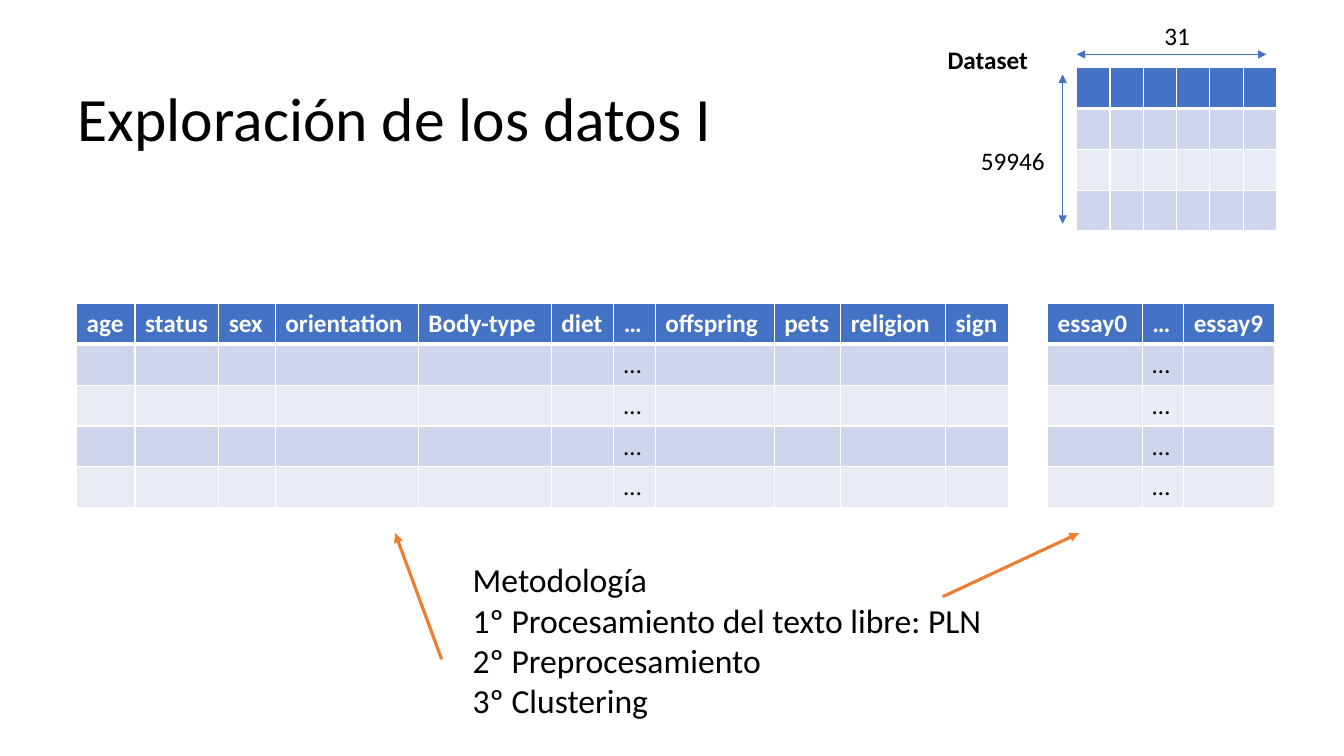
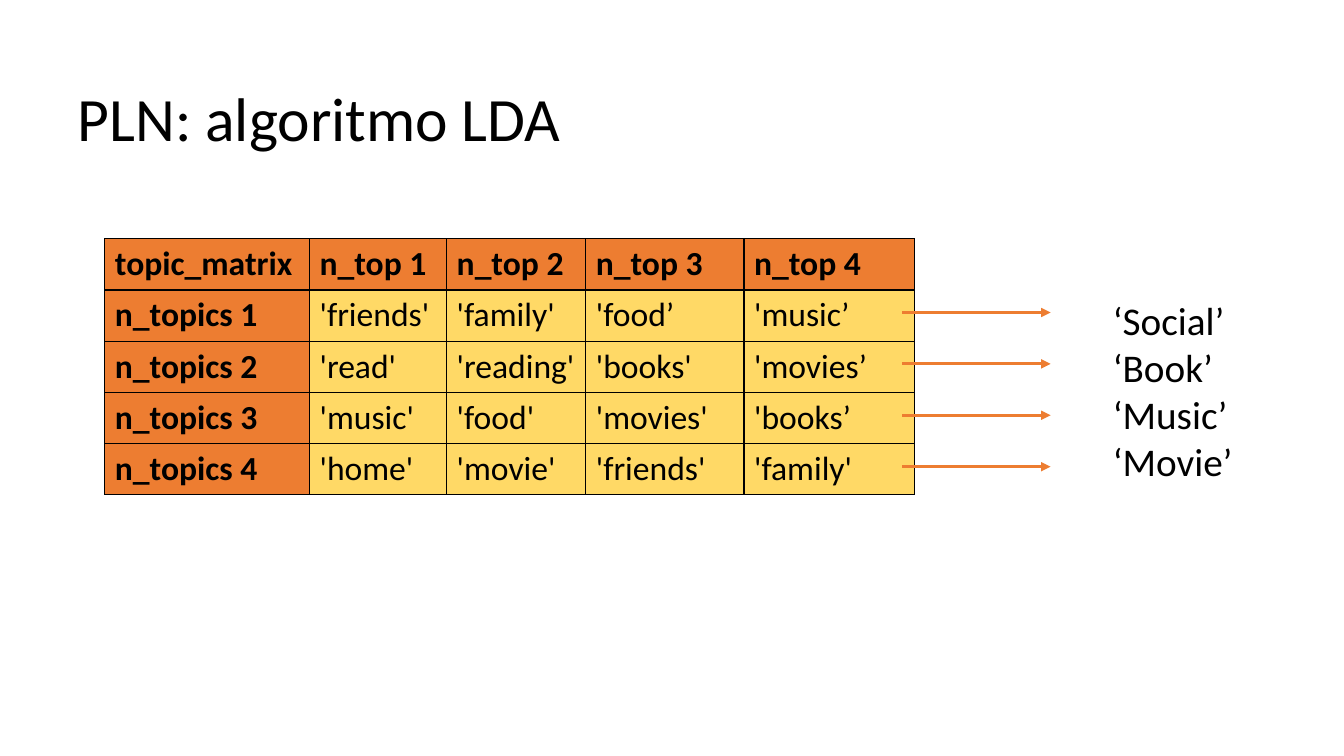
from lxml.etree import SubElement
from pptx import Presentation
from pptx.dml.color import RGBColor
from pptx.enum.shapes import MSO_CONNECTOR
from pptx.enum.text import MSO_ANCHOR, PP_ALIGN
from pptx.oxml.ns import qn
from pptx.util import Inches, Pt

BLACK = RGBColor(0x00, 0x00, 0x00)
WHITE = RGBColor(0xFF, 0xFF, 0xFF)
BLUE = RGBColor(0x44, 0x72, 0xC4)
BAND_DARK = RGBColor(0xCF, 0xD5, 0xEA)
BAND_LIGHT = RGBColor(0xE9, 0xEB, 0xF5)
ORANGE = RGBColor(0xED, 0x7D, 0x31)
YELLOW = RGBColor(0xFF, 0xD9, 0x66)
FONT = "Calibri"

BLUE_STYLE = dict(head=BLUE, head_text=WHITE, bands=(BAND_DARK, BAND_LIGHT),
                  border=WHITE, rule=3, size=18, row=0.405, side=False)
TOPIC_STYLE = dict(head=ORANGE, head_text=BLACK, bands=(YELLOW,),
                   border=BLACK, rule=2, size=24, row=0.5, side=True)


def with_dots(header, count):
    return [header] + [[t if t == "…" else "" for t in header]] * count


PROFILE = ["age", "status", "sex", "orientation", "Body-type", "diet", "…",
           "offspring", "pets", "religion", "sign"]
PROFILE_COLS = [0.58, 0.83, 0.56, 1.42, 1.32, 0.62, 0.41, 1.18, 0.66, 1.04, 0.63]
ESSAYS = ["essay0", "…", "essay9"]
DATASET = [[""] * 6] * 4

EXPLORATION_TABLES = [
    ((0.76, 3.01), PROFILE_COLS, with_dots(PROFILE, 4)),
    ((10.39, 3.01), [0.94, 0.41, 0.9], with_dots(ESSAYS, 4)),
    ((10.68, 0.67), [0.33] * 6, DATASET),
]
METHOD = ["Metodología", "1º Procesamiento del texto libre: PLN",
          "2º Preprocesamiento", "3º Clustering"]
LABELS = [
    ((9.63, 1.39, 1.03, 0.4), "59946", False),
    ((11.45, 0.15, 0.46, 0.4), "31", False),
    ((9.3, 0.39, 1.04, 0.42), "Dataset", True),
]
POINTERS = [((9.35, 5.92), (10.7, 5.29)), ((4.38, 6.54), (3.92, 5.29))]
DIMENSIONS = [((10.54, 0.74), (10.54, 2.22)), ((10.68, 0.54), (12.56, 0.54))]

TOPICS = [
    ["topic_matrix", "n_top 1", "n_top 2", "n_top 3", "n_top 4"],
    ["n_topics 1", "'friends'", "'family'", "'food’", "'music’"],
    ["n_topics 2", "'read'", "'reading'", "'books'", "'movies’"],
    ["n_topics 3", "'music'", "'food'", "'movies'", "'books’"],
    ["n_topics 4", "'home'", "'movie'", "'friends'", "'family'"],
]
TOPIC_COLS = [2.03, 1.36, 1.38, 1.57, 1.69]
TOPIC_NAMES = ["‘Social’", "‘Book’", "‘Music’", "‘Movie’"]


def write(tf, lines, size, color=BLACK, bold=False):
    for i, line in enumerate(lines):
        p = tf.paragraphs[0] if i == 0 else tf.add_paragraph()
        r = p.add_run()
        r.text = line
        for name, value in dict(name=FONT, size=Pt(size), bold=bold).items():
            setattr(r.font, name, value)
        r.font.color.rgb = color


def add_titled_slide(prs, title):
    s = prs.slides.add_slide(prs.slide_layouts[5])
    sp = s.shapes.title
    sp.left, sp.top, sp.width, sp.height = map(Inches, (0.67, 0.48, 11.5, 1.45))
    tf = sp.text_frame
    tf.vertical_anchor = MSO_ANCHOR.MIDDLE
    write(tf, [title], 44)
    p = tf.paragraphs[0]
    p.alignment, p.line_spacing = PP_ALIGN.LEFT, 0.9
    return s


def add_text(s, box, lines, size, bold=False, wrap=True):
    tf = s.shapes.add_textbox(*map(Inches, box)).text_frame
    tf.word_wrap = wrap
    write(tf, lines, size, bold=bold)


def add_arrow(s, start, end, color, width, ends=("tailEnd",)):
    points = map(Inches, start + end)
    c = s.shapes.add_connector(MSO_CONNECTOR.STRAIGHT, *points)
    c.line.color.rgb = color
    c.line.width = Pt(width)
    spPr = c._element.spPr
    for tag in ends:
        SubElement(spPr.find(qn("a:ln")), qn("a:" + tag), type="triangle")
    SubElement(spPr, qn("a:effectLst"))


def set_borders(cell, color, widths):
    tcPr = cell._tc.get_or_add_tcPr()
    for side, width in zip("LRTB", widths):
        ln = SubElement(tcPr, qn("a:ln" + side), w=str(Pt(width)))
        fill = SubElement(ln, qn("a:solidFill"))
        SubElement(fill, qn("a:srgbClr"), val=str(color))


def add_grid(s, at, cols, rows, style):
    size = (sum(cols), style["row"] * len(rows))
    frame = s.shapes.add_table(len(rows), len(cols), *map(Inches, at + size))
    table = frame.table
    table.horz_banding = False
    for column, width in zip(table.columns, cols):
        column.width = Inches(width)
    for i, row in enumerate(rows):
        table.rows[i].height = Inches(style["row"])
        top = style["rule"] if i == 1 else 1
        bottom = style["rule"] if i == 0 else 1
        for j, text in enumerate(row):
            cell = table.cell(i, j)
            head = i == 0 or (style["side"] and j == 0)
            set_borders(cell, style["border"], (1, 1, top, bottom))
            cell.fill.solid()
            band = style["bands"][(i - 1) % len(style["bands"])]
            cell.fill.fore_color.rgb = style["head"] if head else band
            if text:
                color = style["head_text"] if head else BLACK
                write(cell.text_frame, [text], style["size"], color, head)


def build_exploration(prs):
    s = add_titled_slide(prs, "Exploración de los datos I")
    for at, cols, rows in EXPLORATION_TABLES:
        add_grid(s, at, cols, rows, BLUE_STYLE)
    add_text(s, (4.59, 5.5, 5.29, 1.72), METHOD, 24, wrap=False)
    for start, end in POINTERS:
        add_arrow(s, start, end, ORANGE, 2.25)
    for start, end in DIMENSIONS:
        add_arrow(s, start, end, BLUE, 0.5, ("headEnd", "tailEnd"))
    for box, text, bold in LABELS:
        add_text(s, box, [text], 18, bold)


def build_topics(prs):
    s = add_titled_slide(prs, "PLN: algoritmo LDA")
    add_grid(s, (1.04, 2.37), TOPIC_COLS, TOPICS, TOPIC_STYLE)
    for i in range(len(TOPIC_NAMES)):
        y = 3.1 + 0.51 * i
        add_arrow(s, (8.95, y), (10.42, y), ORANGE, 2.25)
    add_text(s, (10.94, 2.89, 1.6, 1.99), TOPIC_NAMES, 28)


def main():
    prs = Presentation()
    prs.slide_width, prs.slide_height = Inches(13.33), Inches(7.5)
    build_exploration(prs)
    build_topics(prs)
    prs.save("out.pptx")


if __name__ == "__main__":
    main()
